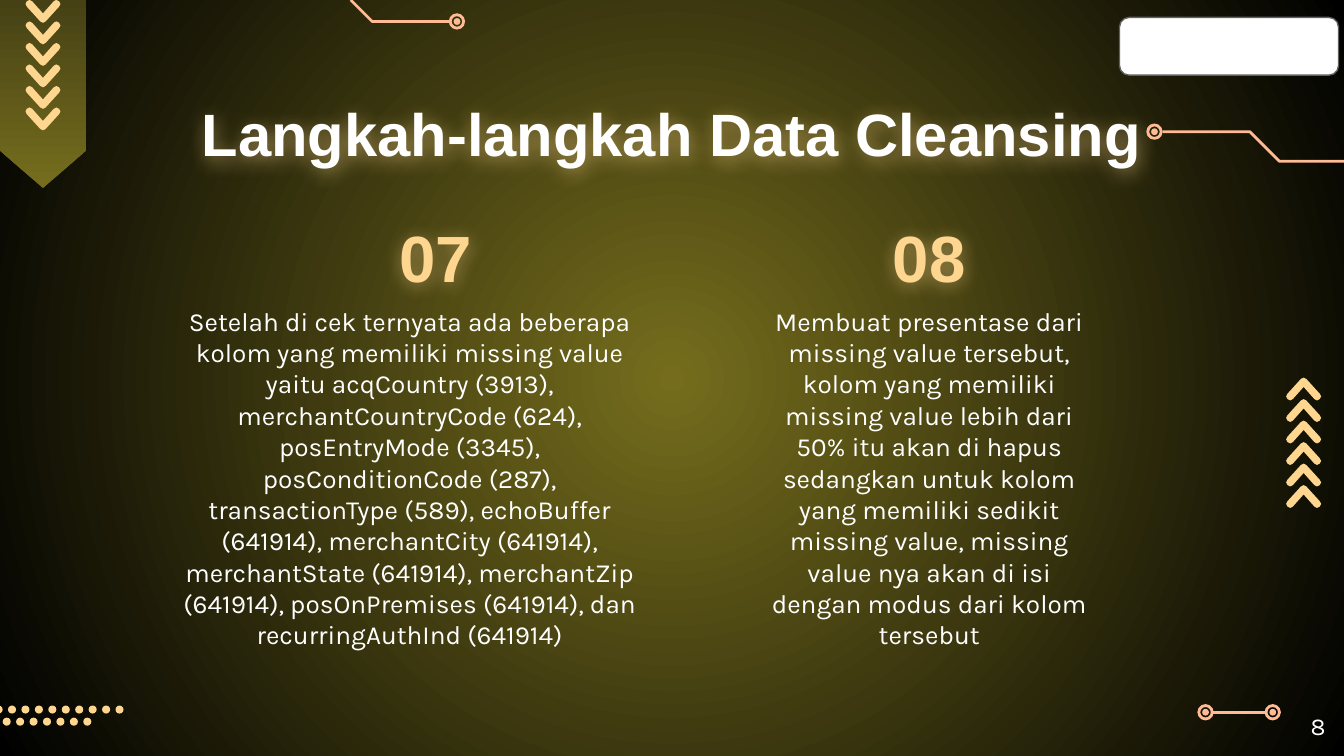
from pptx import Presentation
from pptx.dml.color import RGBColor
from pptx.enum.shapes import MSO_CONNECTOR as Link, MSO_SHAPE as Kind
from pptx.enum.text import MSO_ANCHOR as Anchor, PP_ALIGN as Align
from pptx.oxml import parse_xml
from pptx.oxml.ns import qn
from pptx.util import Inches, Pt

NS = 'xmlns:a="http://schemas.openxmlformats.org/drawingml/2006/main"'
WHITE, SAND, PEACH = "FFFFFF", "FFD68F", "FFBB95"
OLIVE, DARK, BLACK, GRAY = "756D1D", "464115", "000000", "606060"

# Outline of one rounded chevron that points down
WIDE, HIGH, STEP = 0.26, 0.17, 0.16
CHEVRON = [(0, 0.03), (0.01, 0.01), (0.03, 0), (0.05, 0.01), (0.13, 0.1),
           (0.21, 0.01), (0.23, 0), (0.25, 0.01), (0.26, 0.03), (0.25, 0.05),
           (0.15, 0.16), (0.13, 0.17), (0.11, 0.16), (0.01, 0.05)]


def color(code):
    return RGBColor.from_string(code)


def blend(fill, first, last):
    fill.gradient()
    for stop, code, place in zip(fill.gradient_stops, (first, last), (0, 1)):
        stop.color.rgb = color(code)
        stop.position = place


def style(shape, fill=None, line=None, width=1.5):
    shape.shadow.inherit = False
    if fill:
        shape.fill.solid()
        shape.fill.fore_color.rgb = color(fill)
    else:
        shape.fill.background()
    if line:
        shape.line.color.rgb = color(line)
        shape.line.width = Pt(width)
    else:
        shape.line.fill.background()
    return shape


def add(slide, kind, box, **look):
    shape = slide.shapes.add_shape(kind, *map(Inches, box))
    return style(shape, **look)


def trace(slide, points, close, **look):
    spots = [(Inches(x), Inches(y)) for x, y in points]
    pen = slide.shapes.build_freeform(*spots[0])
    pen.add_line_segments(spots[1:], close=close)
    return style(pen.convert_to_shape(), **look)


def write(slide, text, box, size=14, font="Karla", fill=WHITE, bold=False,
          align=Align.CENTER, anchor=Anchor.TOP, glow=None):
    label = slide.shapes.add_textbox(*map(Inches, box))
    frame = label.text_frame
    frame.word_wrap = True
    frame.vertical_anchor = anchor
    frame.margin_left = frame.margin_right = Inches(0.1)
    frame.margin_top = frame.margin_bottom = Inches(0.1)
    para = frame.paragraphs[0]
    para.alignment = align
    run = para.add_run()
    run.text = text
    run.font.name, run.font.size, run.font.bold = font, Pt(size), bold
    run.font.color.rgb = color(fill)
    if glow:
        # Soft light behind the letters
        label._element.spPr.append(parse_xml(
            f'<a:effectLst {NS}><a:outerShdw blurRad="{Pt(10)}" '
            f'dist="{Pt(1.5)}" dir="5400000" algn="bl" rotWithShape="0">'
            f'<a:srgbClr val="{glow}"><a:alpha val="50000"/></a:srgbClr>'
            '</a:outerShdw></a:effectLst>'))


def backdrop(slide):
    fill = slide.background.fill
    blend(fill, OLIVE, BLACK)
    line = next(slide.background._cSld.iter(qn("a:lin")))
    line.getparent().replace(line, parse_xml(
        f'<a:path {NS} path="circle">'
        '<a:fillToRect l="50000" t="50000" r="50000" b="50000"/></a:path>'))


def node(slide, x, y):
    for size, look in ((0.1, {"line": PEACH}), (0.05, {"fill": PEACH})):
        box = (x - size / 2, y - size / 2, size, size)
        add(slide, Kind.OVAL, box, **look)


def bar(slide, box):
    """Two nodes joined by a line."""
    left, top, width, height = box
    mid, half = top + height / 2, height / 2
    node(slide, left + half, mid)
    node(slide, left + width - half, mid)
    ends = (left + height, mid, left + width - height, mid)
    line = slide.shapes.add_connector(Link.STRAIGHT, *map(Inches, ends))
    line.line.color.rgb = color(PEACH)
    line.line.width = Pt(1.5)
    line._element.spPr.append(parse_xml(f"<a:effectLst {NS}/>"))


def circuit(slide, box, bends, end):
    """Bent line with a node at one end."""
    left, top = box
    trace(slide, [(left + x, top + y) for x, y in bends], False, line=PEACH)
    node(slide, left + end[0], top + end[1])


def arrows(slide, box, up=False):
    left, top = box
    for row in range(6):
        trace(slide, [(left + x, top + row * STEP + (HIGH - y if up else y))
                      for x, y in CHEVRON], True, fill=SAND)


def banner(slide, box):
    flag = add(slide, Kind.FLOWCHART_OFFPAGE_CONNECTOR, box)
    blend(flag.fill, OLIVE, DARK)
    flag.fill.gradient_angle = 90
    arrows(slide, (box[0] + (box[2] - WIDE) / 2, box[1]))


def dots(slide, box):
    left, top = box
    for x, y, count in ((0.06, 0.09, 7), (0, 0, 10)):
        for col in range(count):
            spot = (left + x + col * 0.1, top + y, 0.06, 0.06)
            add(slide, Kind.OVAL, spot, fill=SAND)


def step(slide, box, number, text, head):
    """Number above its description; head is the number's left and width."""
    write(slide, number, (head[0], box[1] - 0.53, head[1], 0.53), size=35,
          font="Arial", fill=SAND, bold=True, anchor=Anchor.MIDDLE, glow=SAND)
    write(slide, text, box)


def main():
    deck = Presentation()
    deck.slide_width, deck.slide_height = Inches(10), Inches(10 * 9 / 16)
    slide = deck.slides.add_slide(deck.slide_layouts[6])

    # Decoration
    backdrop(slide)
    add(slide, Kind.ROUNDED_RECTANGLE, (8.33, 0.13, 1.63, 0.43),
        fill=WHITE, line=GRAY, width=0.75)
    bar(slide, (8.92, 5.25, 0.6, 0.1))
    banner(slide, (0, 0, 0.64, 1.4))
    dots(slide, (-0.04, 5.25))
    arrows(slide, (9.57, 2.81), up=True)
    circuit(slide, (2.61, 0), [(0, 0), (0.16, 0.16), (0.74, 0.16)],
            (0.79, 0.16))
    circuit(slide, (8.59, 0.98),
            [(0.06, 0), (0.71, 0), (0.93, 0.22), (1.41, 0.22)], (0, 0))

    # Title and page number
    write(slide, "Langkah-langkah Data Cleansing", (0.78, 0.67, 8.44, 0.63),
          size=32, font="Arial", bold=True, anchor=Anchor.MIDDLE, glow=SAND)
    write(slide, "8", (9.36, 5.19, 0.6, 0.43), size=13, align=Align.RIGHT)

    # Steps
    step(slide, (1.25, 2.17, 3.6, 1.18), "07",
         "Setelah di cek ternyata ada beberapa kolom yang memiliki missing "
         "value yaitu acqCountry (3913), merchantCountryCode (624), "
         "posEntryMode (3345), posConditionCode (287), transactionType (589), "
         "echoBuffer (641914), merchantCity (641914), merchantState (641914), "
         "merchantZip (641914), posOnPremises (641914), dan "
         "recurringAuthInd (641914)", (2.02, 2.44))
    step(slide, (5.6, 2.17, 2.63, 1.18), "08",
         "Membuat presentase dari missing value tersebut, kolom yang memiliki "
         "missing value lebih dari 50% itu akan di hapus sedangkan untuk "
         "kolom yang memiliki sedikit missing value, missing value nya akan "
         "di isi dengan modus dari kolom tersebut", (5.71, 2.41))

    deck.save("out.pptx")


if __name__ == "__main__":
    main()
